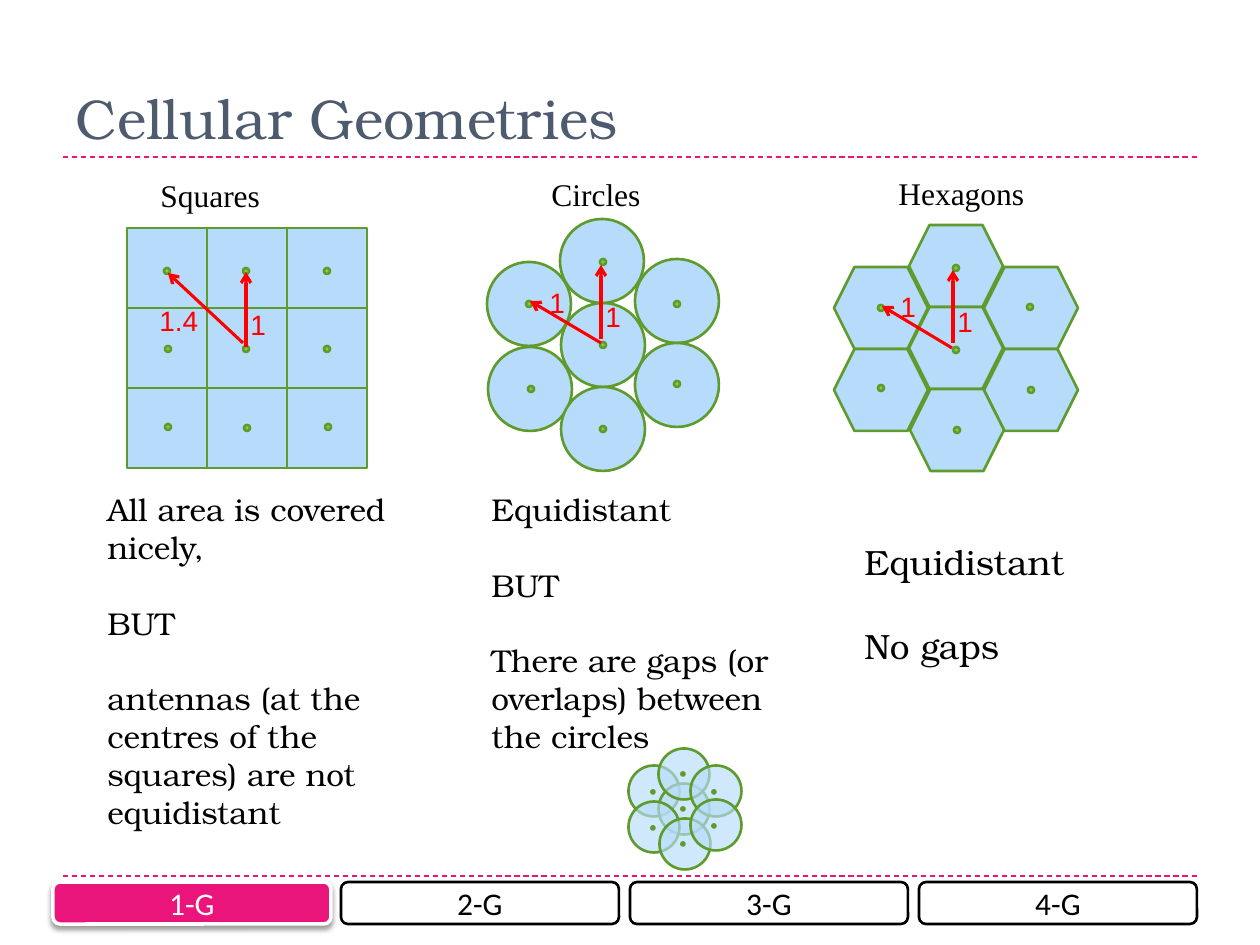
from lxml import etree
from pptx import Presentation
from pptx.dml.color import RGBColor
from pptx.enum.dml import MSO_LINE
from pptx.enum.shapes import MSO_CONNECTOR, MSO_SHAPE
from pptx.enum.text import MSO_ANCHOR, MSO_AUTO_SIZE, PP_ALIGN
from pptx.oxml.ns import qn
from pptx.util import Emu, Pt

RECT = MSO_SHAPE.RECTANGLE
OVAL = MSO_SHAPE.OVAL
HEX = MSO_SHAPE.HEXAGON
ROUND = MSO_SHAPE.ROUNDED_RECTANGLE
STRAIGHT = MSO_CONNECTOR.STRAIGHT
DASH = MSO_LINE.DASH
LEFT, CENTER = PP_ALIGN.LEFT, PP_ALIGN.CENTER
TOP, MIDDLE, BOTTOM = MSO_ANCHOR.TOP, MSO_ANCHOR.MIDDLE, MSO_ANCHOR.BOTTOM
GROW, FIXED = MSO_AUTO_SIZE.SHAPE_TO_FIT_TEXT, MSO_AUTO_SIZE.NONE

BLACK = RGBColor(0x00, 0x00, 0x00)
WHITE = RGBColor(0xFF, 0xFF, 0xFF)
SLATE = RGBColor(0x4E, 0x5B, 0x6F)
PINK = RGBColor(0xEA, 0x15, 0x7A)
RED = RGBColor(0xFF, 0x00, 0x00)
SKY = RGBColor(0xB7, 0xDC, 0xFB)
LIME = RGBColor(0x7F, 0xD1, 0x3B)
GREEN = RGBColor(0x5E, 0x9B, 0x2C)

SERIF, SANS, ROMAN, PLAIN = "TeX Gyre Bonum", "Arial", "Times New Roman", "Calibri"
SCALE = 914400 / 126
TILT = 352.8


def px(*sizes):
    return [Emu(round(size * SCALE)) for size in sizes]


def write(frame, text, face=SERIF, size=18, color=BLACK, align=LEFT,
          anchor=TOP, gap=0, wrap=True, fit=GROW):
    frame.word_wrap = wrap
    frame.auto_size = fit
    frame.vertical_anchor = anchor
    for rank, words in enumerate(text.split("\n")):
        para = frame.add_paragraph() if rank else frame.paragraphs[0]
        para.alignment = align
        para.space_before = Pt(gap if rank else 0)
        run = para.add_run()
        run.text = words
        run.font.name = face
        run.font.size = Pt(size)
        run.font.color.rgb = color


class Board:
    def __init__(self, slide):
        self.slide = slide
        self.home = slide.shapes

    def title(self, text, left, top, wide, high):
        box = self.slide.shapes.title
        box.left, box.top, box.width, box.height = px(left, top, wide, high)
        write(box.text_frame, text, size=32, color=SLATE, anchor=BOTTOM, fit=FIXED)

    def group(self):
        self.home = self.slide.shapes.add_group_shape().shapes

    def leave(self):
        self.home = self.slide.shapes

    def shape(self, kind, left, top, wide, high, fill=SKY, edge=GREEN,
              weight=1.5, alpha=100, spin=0):
        item = self.home.add_shape(kind, *px(left, top, wide, high))
        item.shadow.inherit = False
        item.rotation = spin
        item.fill.solid()
        item.fill.fore_color.rgb = fill
        item.line.color.rgb = edge
        item.line.width = Pt(weight)
        if alpha < 100:
            tint = item.fill._xPr.find(qn("a:solidFill"))[0]
            etree.SubElement(tint, qn("a:alpha"), val=str(alpha * 1000))
        return item

    def spots(self, kind, spots, wide, high, **style):
        for x, y in spots:
            self.shape(kind, x - wide / 2, y - high / 2, wide, high, **style)

    def line(self, start, end, color=RED, weight=1.75, dash=None, arrow=True):
        link = self.home.add_connector(STRAIGHT, *px(*start, *end))
        link.line.color.rgb = color
        link.line.width = Pt(weight)
        if dash:
            link.line.dash_style = dash
        if arrow:
            etree.SubElement(link.line._get_or_add_ln(), qn("a:tailEnd"), type="arrow")
        etree.SubElement(link._element.spPr, qn("a:effectLst"))

    def text(self, text, left, top, wide, high, **style):
        box = self.home.add_textbox(*px(left, top, wide, high))
        write(box.text_frame, text, **style)

    def button(self, text, left, active):
        fill, edge, ink = (PINK, WHITE, WHITE) if active else (WHITE, BLACK, BLACK)
        item = self.shape(ROUND, left, 882, 278, 42, fill, edge, 2 if active else 1.5)
        write(item.text_frame, text, face=PLAIN, color=ink, align=CENTER,
              anchor=MIDDLE, fit=FIXED)
        if active:
            glow = item._element.spPr.find(qn("a:effectLst"))
            cast = etree.SubElement(glow, qn("a:outerShdw"), blurRad=str(Pt(3)),
                                    dist=str(Pt(2)), dir="5400000", rotWithShape="0")
            tint = etree.SubElement(cast, qn("a:srgbClr"), val=str(BLACK))
            etree.SubElement(tint, qn("a:alpha"), val="40000")


def main():
    deck = Presentation()
    deck.slide_width, deck.slide_height = px(1260, 945)
    board = Board(deck.slides.add_slide(deck.slide_layouts[5]))

    for y in (876, 157):
        board.line((63, y), (1197, y), PINK, 0.75, DASH, False)
    board.title("Cellular Geometries", 63, 31, 1134, 126)

    squares = [(167 + 80 * col, 268 + 80 * row) for col in range(3) for row in range(3)]
    square_dots = [(167, 271), (246, 271), (327, 271), (168, 349), (327, 349),
                   (168, 427), (328, 427), (246, 349), (247, 428)]
    rounds = [(529, 304), (603, 345), (602, 261), (677, 301), (530, 389),
              (603, 429), (677, 385)]
    round_dots = [(677, 304), (529, 304), (603, 345), (531, 389), (603, 262),
                  (603, 429), (677, 384)]
    hexes = [(956, 266), (881, 308), (1031, 308), (956, 348), (1031, 390),
             (957, 430), (881, 390)]
    hex_dots = [(956, 268), (881, 388), (956, 350), (957, 430), (881, 308),
                (1030, 307), (1031, 390)]
    plans = [(RECT, squares, 80, 80, 0, square_dots),
             (OVAL, rounds, 84, 84, TILT, round_dots),
             (HEX, hexes, 94, 82, 0, hex_dots)]
    for kind, cells, wide, high, spin, dots in plans:
        board.group()
        board.spots(kind, cells, wide, high, spin=spin)
        board.spots(OVAL, dots, 6, 6, fill=LIME)
    board.leave()

    arrows = [((243, 343), (168, 273)), ((246, 347), (246, 272)),
              ((601, 339), (601, 265)), ((601, 343), (530, 301)),
              ((953, 343), (953, 270)), ((952, 348), (882, 306))]
    for start, end in arrows:
        board.line(start, end)

    marks = [("1", 238, 301, 42), ("1.4", 147, 297, 81), ("1", 593, 293, 42),
             ("1", 537, 279, 42), ("1", 945, 298, 42), ("1", 888, 283, 42)]
    for text, left, top, wide in marks:
        board.text(text, left, top, wide, 47, face=SANS, size=16, color=RED)

    notes = [("All area is covered nicely,\nBUT\n"
              "antennas (at the centres of the squares) are not equidistant",
              95, 484, 357, 18),
             ("Equidistant\nBUT\nThere are gaps (or overlaps) between the circles",
              479, 484, 280, 18),
             ("Equidistant\nNo gaps", 852, 534, 140, 20)]
    for text, left, top, high, size in notes:
        board.text(text, left, top, 305, high, size=size, gap=size * 1.2)

    discs = [(654, 791), (684, 809), (684, 774), (716, 791), (654, 827),
             (685, 844), (716, 825)]
    disc_dots = [(714, 792), (653, 792), (683, 809), (653, 828), (683, 774),
                 (683, 844), (714, 826)]
    board.spots(OVAL, discs, 51, 51, alpha=65, spin=TILT)
    board.spots(OVAL, disc_dots, 3, 3, alpha=65)

    heads = [("Squares", 148, 170, 126), ("Circles", 539, 169, 116),
             ("Hexagons", 886, 168, 152)]
    for text, left, top, wide in heads:
        board.text(text, left, top, wide, 50, face=ROMAN, wrap=False)

    for rank in range(4):
        board.button(f"{rank + 1}-G", 53 + rank * 866 // 3, rank == 0)

    deck.save("out.pptx")


if __name__ == "__main__":
    main()
